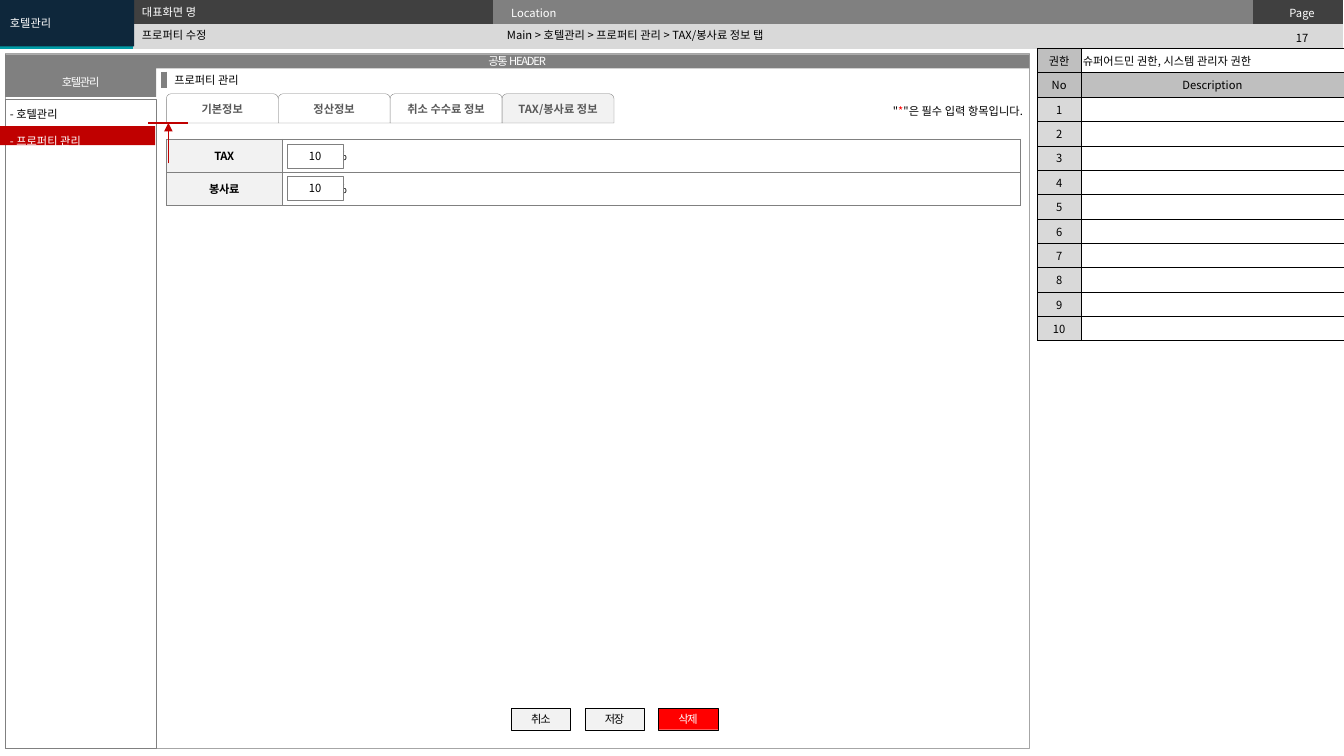
from lxml import etree
from pptx import Presentation
from pptx.dml.color import RGBColor
from pptx.enum.shapes import MSO_CONNECTOR, MSO_SHAPE
from pptx.enum.text import MSO_ANCHOR, PP_ALIGN
from pptx.oxml.ns import qn
from pptx.util import Inches, Pt

LEFT, CENTER, RIGHT = PP_ALIGN.LEFT, PP_ALIGN.CENTER, PP_ALIGN.RIGHT
TOP, MIDDLE = MSO_ANCHOR.TOP, MSO_ANCHOR.MIDDLE
RECT, TAB = MSO_SHAPE.RECTANGLE, MSO_SHAPE.ROUND_2_SAME_RECTANGLE
STRAIGHT = MSO_CONNECTOR.STRAIGHT
FONT = "Noto Sans CJK KR"
PLAIN = "{2D5ABB26-0587-4C30-8999-92F81FD0307C}"

BLACK = RGBColor(0x00, 0x00, 0x00)
WHITE = RGBColor(0xFF, 0xFF, 0xFF)
NAVY = RGBColor(0x0E, 0x27, 0x3B)
TEAL = RGBColor(0x00, 0x9C, 0xA6)
DARK = RGBColor(0x40, 0x40, 0x40)
SLATE = RGBColor(0x59, 0x59, 0x59)
GRAY = RGBColor(0x80, 0x80, 0x80)
SILVER = RGBColor(0xA6, 0xA6, 0xA6)
MID = RGBColor(0xBF, 0xBF, 0xBF)
LIGHT = RGBColor(0xD9, 0xD9, 0xD9)
PALE = RGBColor(0xF2, 0xF2, 0xF2)
RED = RGBColor(0xFF, 0x00, 0x00)
CRIMSON = RGBColor(0xC0, 0x00, 0x00)


def write(par, text, color=BLACK, align=LEFT, bold=False, gap=0):
    """Fill a paragraph; gap is letter spacing in hundredths of a point."""
    par.text = text
    par.alignment = align
    font = par.font
    font.size, font.name, font.bold = Pt(8), FONT, bold
    font.color.rgb = color
    etree.SubElement(font._rPr, qn("a:ea")).set("typeface", FONT)
    if gap:
        font._rPr.set("spc", str(gap))


def box(kind, left, top, width, height, fill=None, line=None):
    """Add a shape, or a text box when kind is None."""
    area = [Inches(v) for v in (left, top, width, height)]
    if kind is None:
        shape = slide.shapes.add_textbox(*area)
    else:
        shape = slide.shapes.add_shape(kind, *area)
        shape.shadow.inherit = False
    if fill is None:
        shape.fill.background()
    else:
        shape.fill.solid()
        shape.fill.fore_color.rgb = fill
    if line is None:
        shape.line.fill.background()
    else:
        shape.line.color.rgb = line
        shape.line.width = Pt(0.25)
    shape.text_frame.word_wrap = True
    shape.text_frame.vertical_anchor = MIDDLE
    return shape.text_frame


prs = Presentation()
prs.slide_width, prs.slide_height = Inches(13.33), Inches(7.5)
slide = prs.slides.add_slide(prs.slide_layouts[6])

# Table contents: text, fill, alignment, bold, left margin
head = [
    [("", TEAL, LEFT, False, 0.18), ("", DARK, LEFT, False, 0.18),
     ("Location", GRAY, LEFT, False, 0.18), ("Page", DARK, CENTER, False, 0.18)],
    [("", LIGHT, LEFT, False, 0.18)] * 4,
]
notes = [
    [("권한", MID, CENTER, False, 0.02),
     ("슈퍼어드민 권한, 시스템 관리자 권한", None, LEFT, False, 0.02)],
    [("No", MID, CENTER, False, 0.02), ("Description", MID, CENTER, False, 0.02)],
]
for num in range(1, 11):
    notes.append([(str(num), LIGHT, CENTER, False, 0.02), ("", None, LEFT, False, 0.02)])
rates = [[(name, PALE, CENTER, True, 0.1), ("%", WHITE, LEFT, False, 0.54)]
         for name in ("TAX", "봉사료")]

# Tables: rows, left, top, height, columns, text colour, border, width, spacing
tables = [
    (head, 0, 0, 0.48, (1.32, 3.57, 7.54, 0.89), WHITE, None, 0, 0),
    (notes, 10.29, 0.48, 2.85, (0.43, 2.61), BLACK, BLACK, 0.5, 0),
    (rates, 1.65, 1.38, 0.66, (1.15, 7.32), BLACK, GRAY, 0.25, -30),
]
for rows, left, top, height, cols, ink, edge, weight, gap in tables:
    table = slide.shapes.add_table(
        len(rows), len(cols), Inches(left), Inches(top),
        Inches(sum(cols)), Inches(height)).table
    table.first_row = table.horz_banding = False
    table._tbl.tblPr.find(qn("a:tableStyleId")).text = PLAIN
    for col, width in zip(table.columns, cols):
        col.width = Inches(width)
    for y, row in enumerate(rows):
        for x, (text, fill, align, bold, margin) in enumerate(row):
            cell = table.cell(y, x)
            cell.margin_left = Inches(margin)
            cell.margin_right = Inches(min(margin, 0.1))
            cell.margin_top = cell.margin_bottom = Inches(0.04)
            cell.vertical_anchor = MIDDLE
            write(cell.text_frame.paragraphs[0], text, ink, align, bold, gap)
            props = cell._tc.get_or_add_tcPr()
            if edge is not None:
                for side in ("lnL", "lnR", "lnT", "lnB"):
                    ln = etree.SubElement(props, qn("a:" + side), w=str(Pt(weight)))
                    solid = etree.SubElement(ln, qn("a:solidFill"))
                    etree.SubElement(solid, qn("a:srgbClr"), val=str(edge))
            if fill is None:
                cell.fill.background()
            else:
                cell.fill.solid()
                cell.fill.fore_color.rgb = fill
    if rows is head:
        table.cell(0, 0).merge(table.cell(1, 0))

# Frames and the marked menu row
box(RECT, 0.05, 0.53, 10.16, 6.89, line=SILVER)
box(RECT, 0.05, 0.98, 1.5, 6.44, line=GRAY)
box(RECT, -0.12, 1.25, 1.66, 0.19, CRIMSON)

# Plain labels
labels = [
    ("17", 12.48, 0.26, 0.87, 0.24, BLACK, CENTER, TOP),
    ("프로퍼티 수정", 1.31, 0.24, 3.63, 0.22, BLACK, LEFT, MIDDLE),
    ("Main > 호텔관리 > 프로퍼티 관리 > TAX/봉사료 정보 탭",
     4.93, 0.23, 7.38, 0.24, BLACK, LEFT, MIDDLE),
    ("대표화면 명", 1.31, 0, 3.62, 0.22, WHITE, LEFT, TOP),
    ("프로퍼티 관리", 1.63, 0.68, 2.41, 0.24, BLACK, LEFT, TOP),
]
for text, left, top, width, height, ink, align, anchor in labels:
    frame = box(None, left, top, width, height)
    frame.vertical_anchor = anchor
    write(frame.paragraphs[0], text, ink, align)

# Filled bars and buttons
bars = [
    ("호텔관리", 0, 0, 1.33, 0.46, NAVY, None, WHITE, LEFT, 0.1, 0),
    ("공통 HEADER", 0.05, 0.54, 10.16, 0.14, GRAY, None, WHITE, CENTER, 0.04, -90),
    ("호텔관리", 0.05, 0.67, 1.5, 0.29, GRAY, None, WHITE, CENTER, 0.04, -90),
]
buttons = [("취소", PALE, BLACK), ("저장", PALE, BLACK), ("삭제", RED, WHITE)]
for i, (text, fill, ink) in enumerate(buttons):
    bars.append((text, 5.07 + 0.73 * i, 7.03, 0.59, 0.21, fill, BLACK, ink, CENTER, 0, -90))
for top in (1.43, 1.75):
    bars.append(("10", 2.85, top, 0.55, 0.24, WHITE, GRAY, BLACK, CENTER, 0.1, 0))
for text, left, top, width, height, fill, line, ink, align, margin, gap in bars:
    frame = box(RECT, left, top, width, height, fill, line)
    frame.margin_left = frame.margin_right = Inches(margin)
    frame.margin_top = frame.margin_bottom = Inches(min(margin, 0.05))
    write(frame.paragraphs[0], text, ink, align, gap=gap)

# Side menu
menu = box(None, 0, 0.88, 1.44, 0.6)
menu.vertical_anchor = TOP
for par, text, ink in ((menu.paragraphs[0], "- 호텔관리", BLACK),
                       (menu.add_paragraph(), "- 프로퍼티 관리", WHITE)):
    par.line_spacing = 2.0
    write(par, text, ink)

# Required-field hint
hint = box(None, 8.59, 0.99, 1.68, 0.24)
hint.word_wrap = False
hint.vertical_anchor = TOP
par = hint.paragraphs[0]
write(par, "\"", align=RIGHT)
star = par.add_run()
star.text = "*"
star.font.color.rgb = RED
par.add_run().text = "\"은 필수 입력 항목입니다. "

# Tabs
for i, text in enumerate(("기본정보", "정산정보", "취소 수수료 정보", "TAX/봉사료 정보")):
    frame = box(TAB, 1.65 + 1.11 * i, 0.93, 1.11, 0.29, PALE if i == 3 else WHITE, GRAY)
    write(frame.paragraphs[0], text, SLATE, CENTER, True)

# Title marker and red pointer
for x1, y1, x2, y2, ink, weight, arrow in (
        (1.63, 0.71, 1.63, 0.87, GRAY, 4.5, False),
        (1.86, 1.22, 1.47, 1.22, CRIMSON, 1, False),
        (1.67, 1.62, 1.67, 1.22, CRIMSON, 1, True)):
    line = slide.shapes.add_connector(STRAIGHT, *[Inches(v) for v in (x1, y1, x2, y2)])
    line.line.color.rgb = ink
    line.line.width = Pt(weight)
    if arrow:
        etree.SubElement(line.line._get_or_add_ln(), qn("a:tailEnd"), type="triangle")
    etree.SubElement(line._element.spPr, qn("a:effectLst"))

prs.save("out.pptx")
